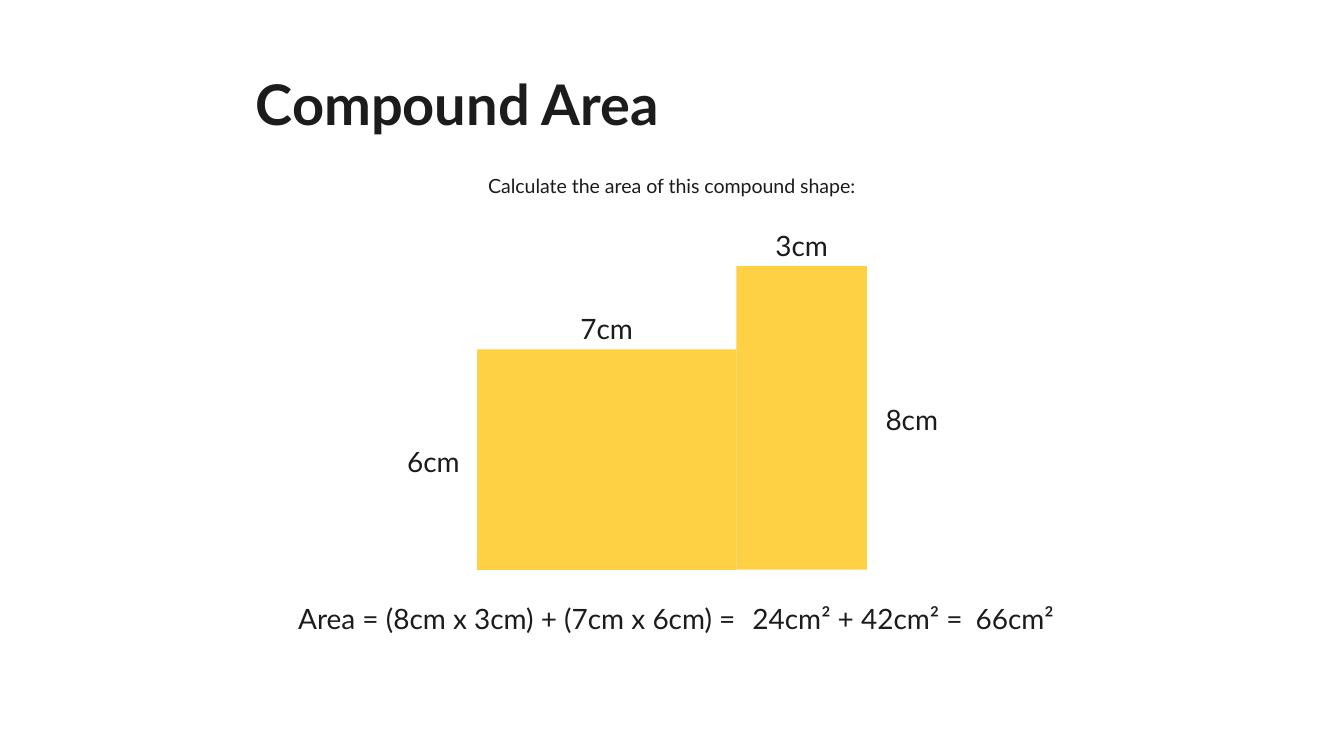
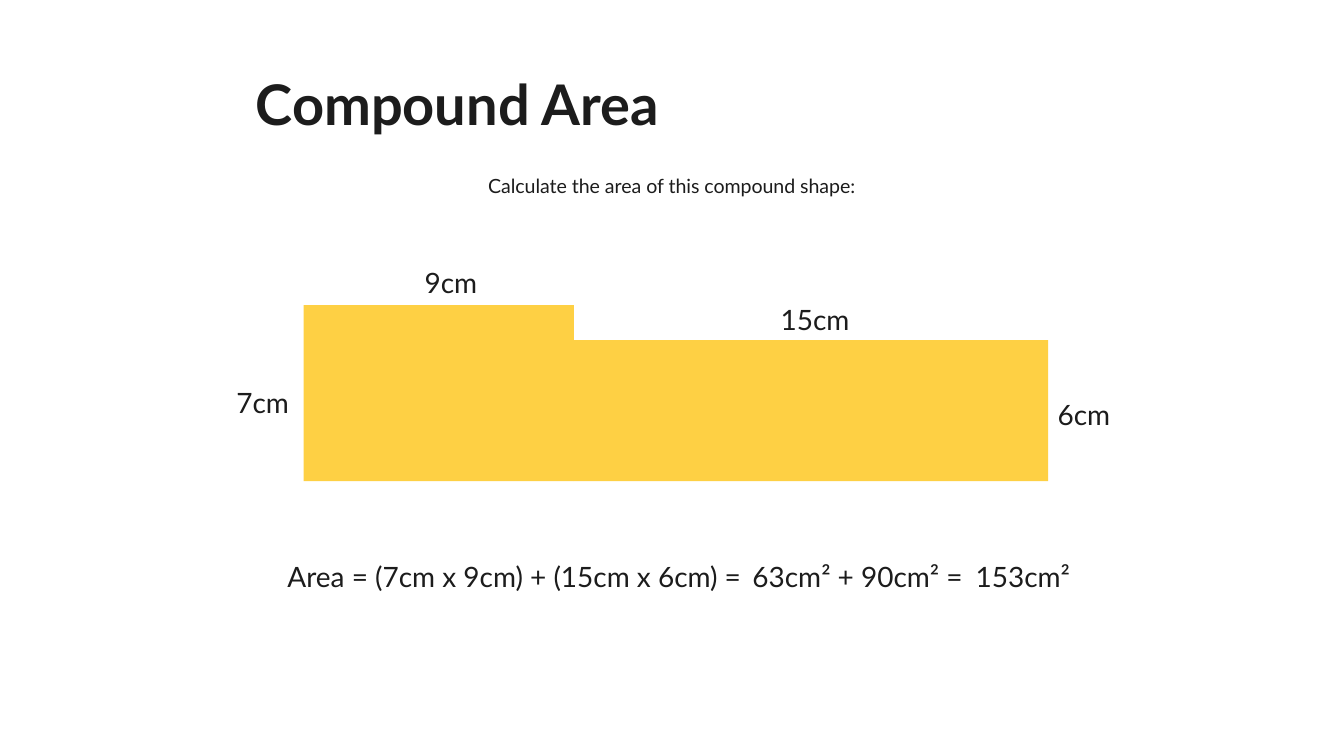
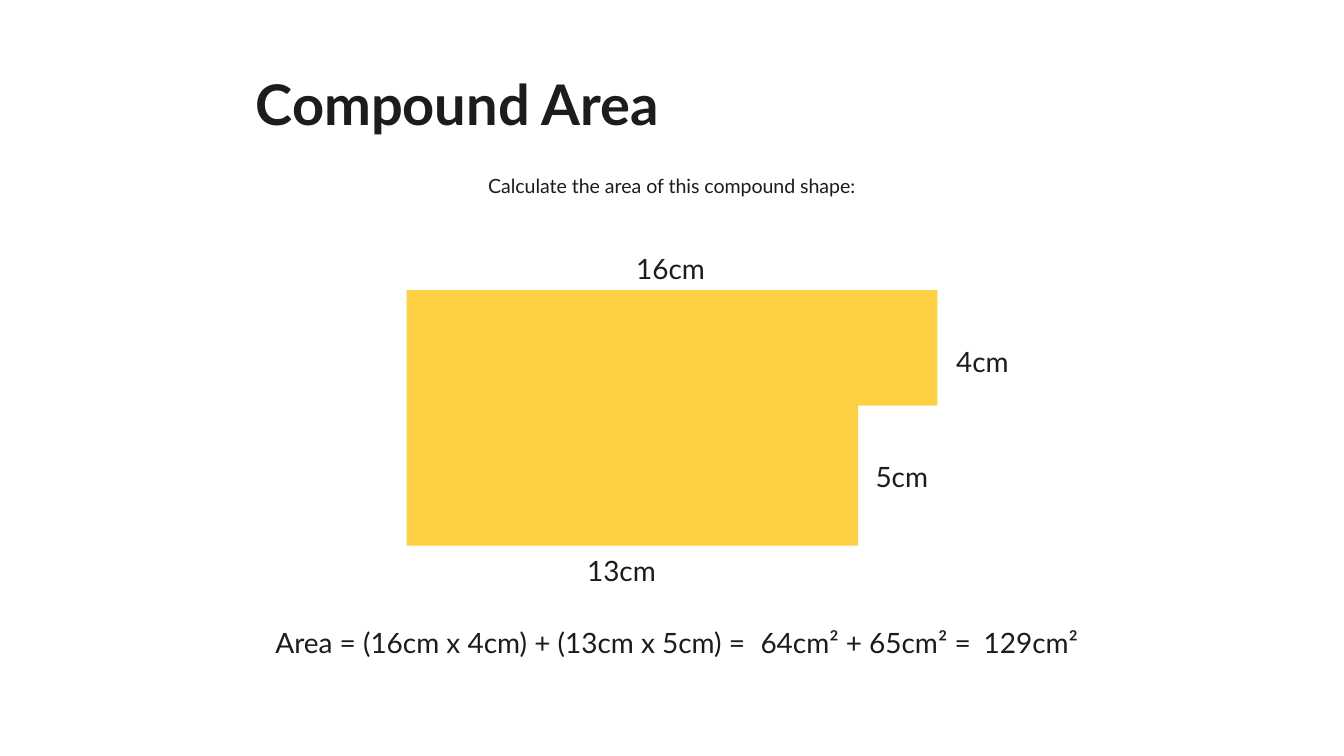
from lxml import etree
from pptx import Presentation
from pptx.dml.color import RGBColor
from pptx.enum.shapes import MSO_SHAPE
from pptx.enum.text import MSO_ANCHOR, PP_ALIGN
from pptx.oxml.ns import qn
from pptx.util import Inches, Pt

RECT, ROUND = MSO_SHAPE.RECTANGLE, MSO_SHAPE.ROUNDED_RECTANGLE
TOP, MIDDLE = MSO_ANCHOR.TOP, MSO_ANCHOR.MIDDLE
LEFT, CENTER = PP_ALIGN.LEFT, PP_ALIGN.CENTER

# The slide is a grid of square cells, a tenth of an inch each.
COLS, ROWS = 100, 56.25
COLORS = {"ink": "1C1C1C", "block": "FED044", "panel": "FFFFFF"}
FONT = "Lato"
STYLES = {
    "title": {"size": Pt(30), "bold": True},
    "prompt": {"size": Pt(10.5)},
    "math": {"size": Pt(15)},
}
LABEL_H, STEP_H = 3.5, 4.2

# Blocks are (left, top, width, height). Labels are (text, block, side, nudge).
# Steps are (text, left, width), all on the row "sum".
TASKS = [
    {
        "blocks": [(35.5, 26, 19.3, 16.4), (54.8, 19.8, 9.7, 22.6)],
        "labels": [("3cm", 1, "top", (0, 0)), ("8cm", 1, "right", (0, 0.1)),
                   ("7cm", 0, "top", (0, 0)), ("6cm", 0, "left", (0, 0.1))],
        "sum": 43.9,
        "steps": [("Area = (8cm x 3cm) + (7cm x 6cm) =", 21, 38.3),
                  ("24cm² + 42cm² =", 54.8, 20.5), ("66cm²", 71.4, 9.9)],
    },
    {
        "blocks": [(42.7, 25.3, 35.3, 10.5), (22.6, 22.7, 20.1, 13.1)],
        "labels": [("9cm", 1, "top", (0.9, -0.1)), ("7cm", 1, "left", (0.2, 0.7)),
                   ("6cm", 0, "right", (-0.7, 0.3)), ("15cm", 0, "top", (0.3, 0))],
        "sum": 40.8,
        "steps": [("Area = (7cm x 9cm) + (15cm x 6cm) =", 20.2, 36.8),
                  ("63cm² + 90cm² =", 54.8, 19.2), ("153cm²", 71.4, 11.2)],
    },
    {
        "blocks": [(30.25, 30.1, 33.6, 10.5), (30.25, 21.6, 39.5, 8.6)],
        "labels": [("16cm", 1, "top", (-0.1, -0.1)), ("4cm", 1, "right", (0, 1)),
                   ("13cm", 0, "bottom", (-0.8, 0.3)), ("5cm", 0, "right", (-0.1, 0.1))],
        "sum": 45.7,
        "steps": [("Area = (16cm x 4cm) + (13cm x 5cm) =", 19.3, 39.8),
                  ("64cm² + 65cm² =", 55.4, 19.4), ("129cm²", 72, 14.5)],
    },
]


def cells(*counts):
    return [Inches(count / 10) for count in counts]


def paint(color, name):
    color.rgb = RGBColor.from_string(COLORS[name])


def add_shape(slide, kind, area, fill=None, bend=None):
    """Add a flat shape without a line; bend is the share its corners round."""
    shape = slide.shapes.add_shape(kind, *cells(*area))
    shape.shadow.inherit = False
    shape.line.fill.background()
    if fill:
        shape.fill.solid()
        paint(shape.fill.fore_color, fill)
    else:
        shape.fill.background()
    if bend:
        shape.adjustments[0] = bend
    return shape


def write(shape, text, style, align=LEFT, anchor=MIDDLE):
    frame = shape.text_frame
    frame.word_wrap = True
    frame.vertical_anchor = anchor
    para = frame.paragraphs[0]
    para.alignment = align
    run = para.add_run()
    run.text = text
    for key, value in {"name": FONT, **STYLES[style]}.items():
        setattr(run.font, key, value)
    paint(run.font.color, "ink")


def add_panel(slide):
    panel = add_shape(slide, ROUND, (5, 3.6, 89.9, 48.9), "panel", 0.026)
    tint = panel.fill._xPr.find(qn("a:solidFill"))[0]
    etree.SubElement(tint, qn("a:alpha"), val="90000")
    paint(panel.line.color, "panel")
    panel.line.width = Pt(2)


def add_head(slide):
    title = add_shape(slide, ROUND, (16.3, 3.9, 67.4, 8.2), bend=0.096)
    for side in ("left", "top", "right", "bottom"):
        setattr(title.text_frame, f"margin_{side}", Inches(0.25))
    write(title, "Compound Area", "title")
    title.text_frame.paragraphs[0].line_spacing = 0.9
    prompt = add_shape(slide, ROUND, (18.7, 11.7, 62.6, STEP_H))
    write(prompt, "Calculate the area of this compound shape:", "prompt", CENTER)


def add_label(slide, text, block, side, nudge):
    """Set a length beside the middle of one side of its block."""
    left, top, width, height = block
    wide = 6.7 if len(text) == 3 else 7.6
    mid_x = left + (width - wide) / 2
    mid_y = top + (height - LABEL_H) / 2
    x, y = {
        "top": (mid_x, top - LABEL_H + 0.2),
        "bottom": (mid_x, top + height - 0.2),
        "left": (left - wide + 0.1, mid_y),
        "right": (left + width, mid_y),
    }[side]
    area = (x + nudge[0], y + nudge[1], wide, LABEL_H)
    write(slide.shapes.add_textbox(*cells(*area)), text, "math", CENTER, TOP)


def add_task(slide, task):
    add_panel(slide)
    add_head(slide)
    for block in task["blocks"]:
        add_shape(slide, RECT, block, "block")
    for text, index, side, nudge in task["labels"]:
        add_label(slide, text, task["blocks"][index], side, nudge)
    for text, left, width in task["steps"]:
        step = add_shape(slide, ROUND, (left, task["sum"], width, STEP_H))
        write(step, text, "math")


def main():
    deck = Presentation()
    deck.slide_width, deck.slide_height = cells(COLS, ROWS)
    blank = deck.slide_layouts[6]
    for task in TASKS:
        add_task(deck.slides.add_slide(blank), task)
    deck.save("out.pptx")


if __name__ == "__main__":
    main()
